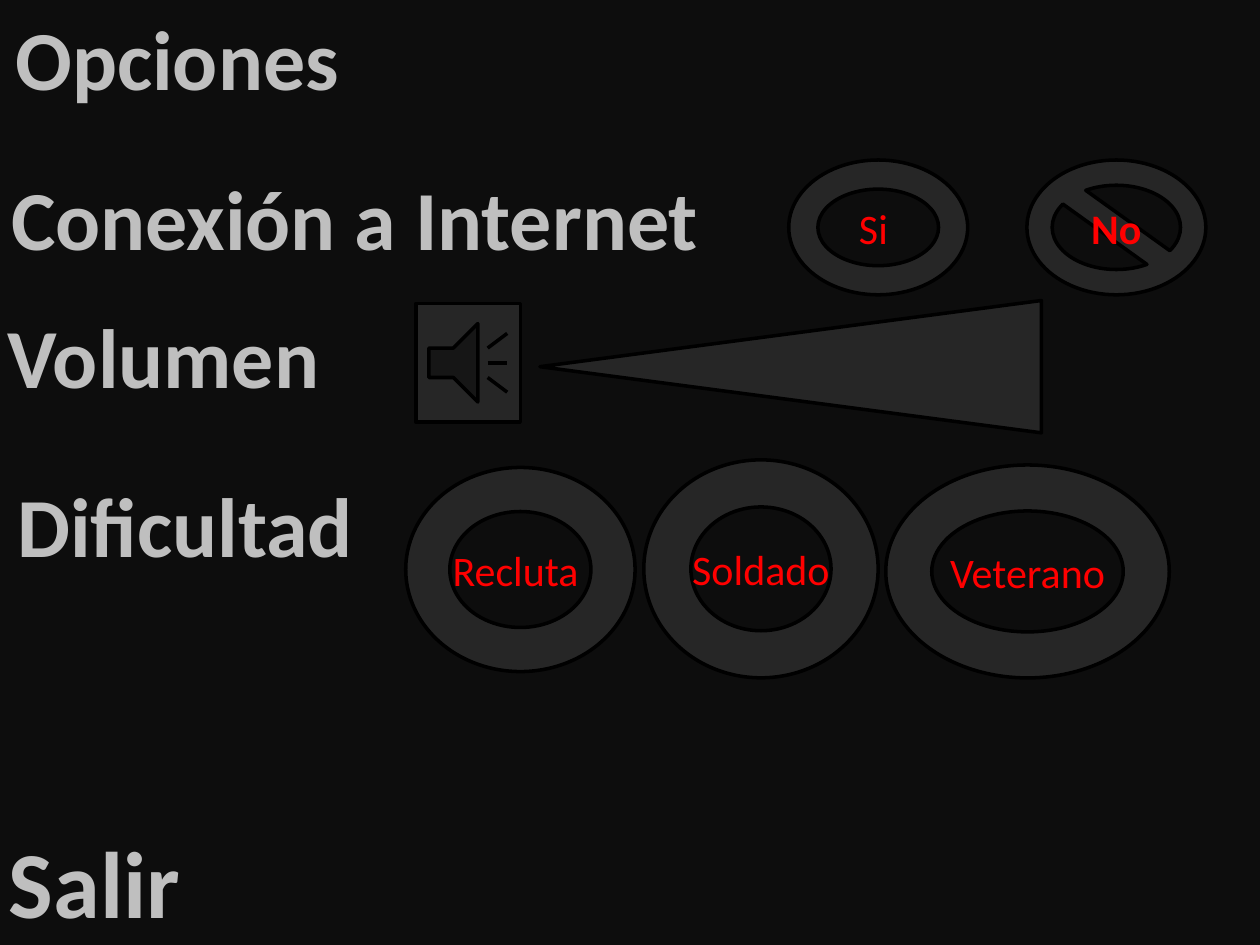
from pptx import Presentation
from pptx import util as u
from pptx.dml.color import RGBColor
from pptx.enum import shapes, text

COLORS = {"back": "0D0D0D", "heading": "BFBFBF", "button": "262626",
          "edge": "000000", "choice": "FF0000"}
KIND = shapes.MSO_SHAPE


def color(name):
    return RGBColor.from_string(COLORS[name])


def add_button(kind, left, top, width, height, label="", bold=False):
    """Add a dark outlined shape, with a red label if one is given."""
    button = page.shapes.add_shape(
        kind, *(u.Inches(n) for n in (left, top, width, height)))
    button.shadow.inherit = False
    button.fill.solid()
    button.fill.fore_color.rgb = color("button")
    button.line.color.rgb = color("edge")
    button.line.width = u.Pt(2)
    if kind == KIND.DONUT:
        button.adjustments[0] = 0.216
    if label:
        button.text_frame.vertical_anchor = text.MSO_ANCHOR.MIDDLE
        para = button.text_frame.paragraphs[0]
        para.alignment = text.PP_ALIGN.CENTER
        span = para.add_run()
        span.text = label
        span.font.name = "Calibri"
        span.font.size = u.Pt(24)
        span.font.bold = bold
        span.font.color.rgb = color("choice")
    return button


deck = Presentation()
deck.slide_width, deck.slide_height = u.Inches(10), u.Inches(7.5)
page = deck.slides.add_slide(deck.slide_layouts[6])
page.background.fill.solid()
page.background.fill.fore_color.rgb = color("back")

# Menu headings: label, left, top, width, height, size
headings = [
    ("Opciones", 0, 0, 2.79, 0.91, 48),
    ("Conexión a Internet", -0.01, 1.27, 5.71, 0.91, 48),
    ("Volumen", -0.04, 2.37, 2.7, 0.91, 48),
    ("Dificultad", 0.04, 3.71, 2.9, 0.91, 48),
    ("Salir", -0.04, 6.49, 1.57, 1.01, 54),
]
for label, left, top, width, height, size in headings:
    box = page.shapes.add_textbox(
        *(u.Inches(n) for n in (left, top, width, height)))
    box.text_frame.word_wrap = False
    box.text_frame.auto_size = text.MSO_AUTO_SIZE.SHAPE_TO_FIT_TEXT
    para = box.text_frame.paragraphs[0]
    if label in ("Opciones", "Salir"):
        para.alignment = text.PP_ALIGN.RIGHT
    span = para.add_run()
    span.text = label
    span.font.name = "Calibri"
    span.font.size = u.Pt(size)
    span.font.bold = True
    span.font.color.rgb = color("heading")

# Internet connection
add_button(KIND.NO_SYMBOL, 8.15, 1.27, 1.42, 1.07, "No", bold=True)
add_button(KIND.DONUT, 6.26, 1.27, 1.42, 1.07, "Si ")

# Volume: speaker and a wedge that grows to the right
add_button(KIND.ACTION_BUTTON_SOUND, 3.3, 2.41, 0.83, 0.94)
wedge = add_button(KIND.ISOSCELES_TRIANGLE, 5.75, 0.92, 1.05, 3.98)
wedge.rotation = 270

# Difficulty levels
levels = [
    ("Recluta ", 3.22, 3.71, 1.82, 1.62),
    ("Soldado ", 5.11, 3.65, 1.86, 1.73),
    ("Veterano", 7.03, 3.69, 2.25, 1.69),
]
for label, *place in levels:
    add_button(KIND.DONUT, *place, label)

deck.save("out.pptx")
